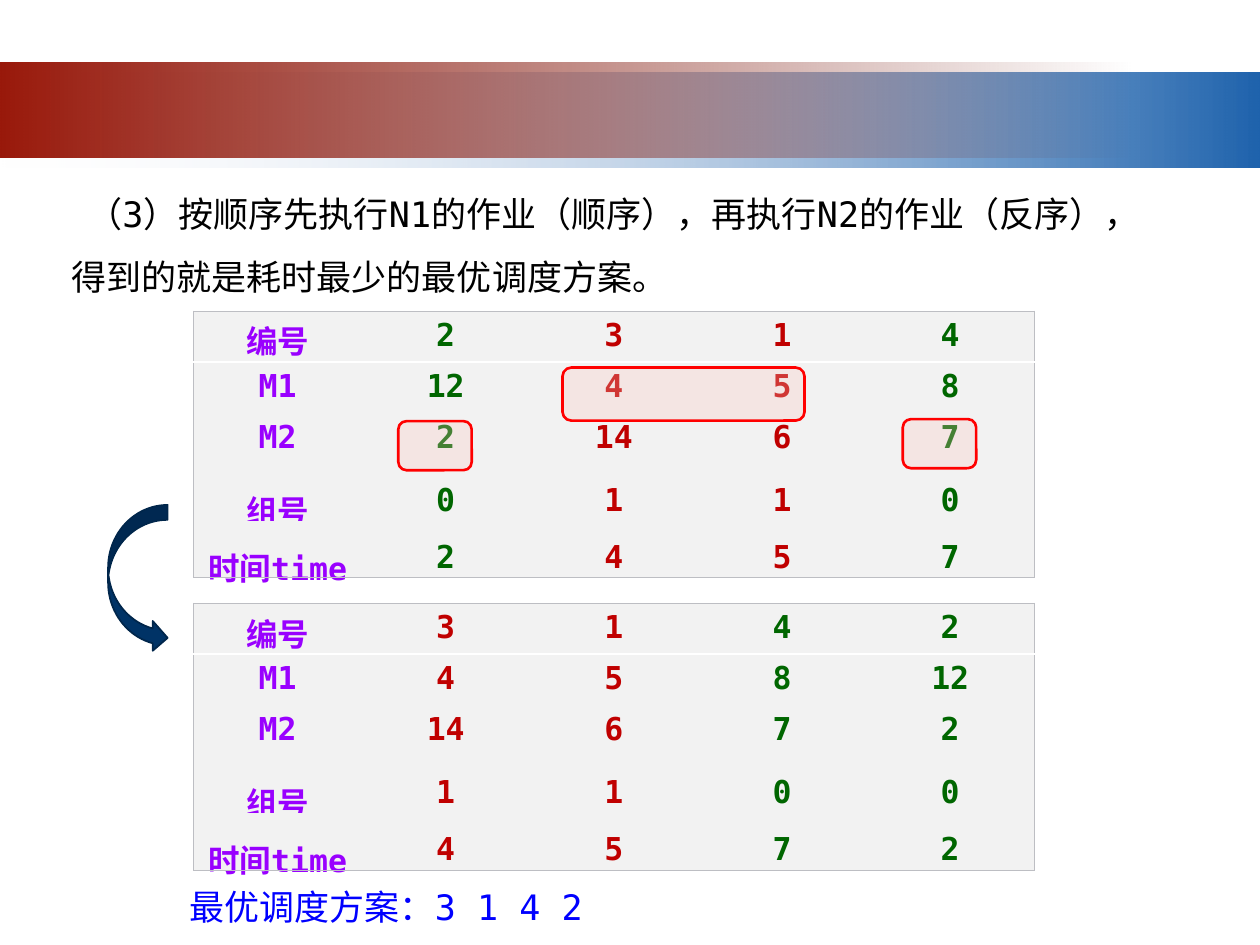
from lxml import etree
from pptx import Presentation
from pptx import util as u
from pptx.dml.color import RGBColor
from pptx.enum import shapes, text
from pptx.oxml.ns import qn

FONT = "DejaVu Sans Mono"
COLORS = {
    "pale": "F1F2F7", "blue": "1F63AD", "red": "99190B", "maroon": "6D1208",
    "black": "000000", "answer": "0000FF", "label": "9900FF",
    "first_group": "C00000", "second_group": "006600",
    "cell": "F2F2F2", "frame": "BDBEC3", "rule": "FFFFFF",
    "arrow": "003366", "arrow_edge": "00264B",
    "mark": "FAC4BE", "mark_edge": "FF0000",
}
LABELS = ["编号", "M1", "M2", "组号", "时间time"]
JOBS = {1: (5, 6), 2: (12, 2), 3: (4, 14), 4: (8, 7)}
COLUMN, ROW = 3.39, 1.03
NO_STYLE = "{2D5ABB26-0587-4C30-8999-92F81FD0307C}"


def rgb(name):
    return RGBColor.from_string(COLORS[name])


def add_alpha(color_element, percent):
    etree.SubElement(color_element, qn("a:alpha"), val=str(percent * 1000))


def set_format(target, **values):
    for name, value in values.items():
        setattr(target, name, value)


def add_shape(page, kind, box, fill=None, line=None, width=1):
    shape = page.shapes.add_shape(kind, *map(u.Cm, box))
    shape.shadow.inherit = False
    if fill:
        shape.fill.solid()
        shape.fill.fore_color.rgb = rgb(fill)
    if line:
        shape.line.color.rgb = rgb(line)
        shape.line.width = u.Pt(width)
    else:
        shape.line.fill.background()
    return shape


def add_band(page, box, start, end, clear_stop):
    """Draw a left-to-right gradient that is transparent at one stop."""
    band = add_shape(page, shapes.MSO_SHAPE.RECTANGLE, box)
    band.fill.gradient()
    band.fill.gradient_angle = 0
    stops = band.fill.gradient_stops
    for stop, name, position in zip(stops, (start, end), (0, 1)):
        stop.color.rgb = rgb(name)
        stop.position = position
    colors = list(band._element.iter(qn("a:srgbClr")))
    add_alpha(colors[clear_stop], 0)


def add_header(page, left, top, width):
    height = 1.9
    add_band(page, (left, top + 0.2, width, height), "pale", "blue", 0)
    add_band(page, (left, top, width * 0.9, height), "red", "maroon", 1)


def add_text(page, box, words, color, spacing=None, indent=0):
    frame = page.shapes.add_textbox(*map(u.Cm, box)).text_frame
    set_format(frame, word_wrap=True, auto_size=text.MSO_AUTO_SIZE.SHAPE_TO_FIT_TEXT)
    para = frame.paragraphs[0]
    para.line_spacing = spacing
    if indent:
        para._p.get_or_add_pPr().set("indent", str(u.Cm(indent)))
    span = para.add_run()
    span.text = words
    set_format(span.font, name=FONT, size=u.Pt(20))
    span.font.color.rgb = rgb(color)


def add_border(cell, side, color, width):
    line = etree.SubElement(cell._tc.get_or_add_tcPr(), qn(f"a:ln{side}"),
                            w=str(u.Pt(width)))
    fill = etree.SubElement(line, qn("a:solidFill"))
    etree.SubElement(fill, qn("a:srgbClr"), val=COLORS[color])


def fill_cell(cell, words, color, spaced):
    cell.fill.solid()
    cell.fill.fore_color.rgb = rgb("cell")
    para = cell.text_frame.paragraphs[0]
    para.alignment = text.PP_ALIGN.CENTER
    if spaced:
        para.line_spacing = 1.5
        set_format(cell, margin_left=u.Cm(0.18), margin_right=u.Cm(0.18),
                   margin_top=0, margin_bottom=0)
    span = para.add_run()
    span.text = str(words)
    set_format(span.font, name=FONT, size=u.Pt(18), bold=True)
    span.font.color.rgb = rgb(color)


def job_column(job):
    """Return a job's values from top to bottom, and its group colour."""
    m1, m2 = JOBS[job]
    group = int(m1 < m2)
    color = "first_group" if group else "second_group"
    return [job, m1, m2, group, min(m1, m2)], color


def add_job_table(page, left, top, order):
    columns = [(LABELS, "label")] + [job_column(job) for job in order]
    last_row, last_column = len(LABELS) - 1, len(columns) - 1
    holder = page.shapes.add_table(
        len(LABELS), len(columns), u.Cm(left), u.Cm(top),
        u.Cm(COLUMN * len(columns)), u.Cm(ROW * len(LABELS)))
    table = holder.table
    set_format(table, first_row=False, horz_banding=False)
    table._tbl.tblPr.find(qn("a:tableStyleId")).text = NO_STYLE
    for row in table.rows:
        row.height = u.Cm(ROW)
    for x, (values, color) in enumerate(columns):
        table.columns[x].width = u.Cm(COLUMN)
        for y, value in enumerate(values):
            cell = table.cell(y, x)
            for side, outer in (("L", x == 0), ("R", x == last_column),
                                ("T", y == 0), ("B", y == last_row)):
                if outer:
                    add_border(cell, side, "frame", 0.5)
            if y == 0:
                add_border(cell, "B", "rule", 1.5)
            fill_cell(cell, value, color, spaced=y >= 3)


def add_marks(page, left, top):
    """Frame the shortest time of each job in the table at left, top."""
    for x, y, width, height in ((7.44, 1.14, 4.88, 1.07),
                                (4.13, 2.22, 1.48, 0.99),
                                (14.3, 2.18, 1.48, 0.99)):
        mark = add_shape(page, shapes.MSO_SHAPE.ROUNDED_RECTANGLE,
                         (left + x, top + y, width, height),
                         "mark", "mark_edge", 1.5)
        add_alpha(next(mark._element.spPr.iter(qn("a:srgbClr"))), 28)


def build_page(page):
    left, upper, lower = 3.9, 6.27, 12.16
    add_header(page, 0, 1.27, 25.4)
    add_text(page, (1.19, 3.33, 22.63, 2.67),
             "（3）按顺序先执行N1的作业（顺序），再执行N2的作业（反序），"
             "得到的就是耗时最少的最优调度方案。", "black", 1.5, 0.32)
    add_job_table(page, left, lower, (3, 1, 4, 2))
    add_shape(page, shapes.MSO_SHAPE.CURVED_RIGHT_ARROW,
              (2.18, 10.18, 1.2, 2.98), "arrow", "arrow_edge")
    add_job_table(page, left, upper, (2, 3, 1, 4))
    add_text(page, (3.57, 17.73, 9.73, 1.12), "最优调度方案：3 1 4 2", "answer")
    add_marks(page, left, upper)


def main():
    deck = Presentation()
    set_format(deck, slide_width=u.Cm(25.4), slide_height=u.Cm(19.05))
    build_page(deck.slides.add_slide(deck.slide_layouts[6]))
    deck.save("out.pptx")


if __name__ == "__main__":
    main()
